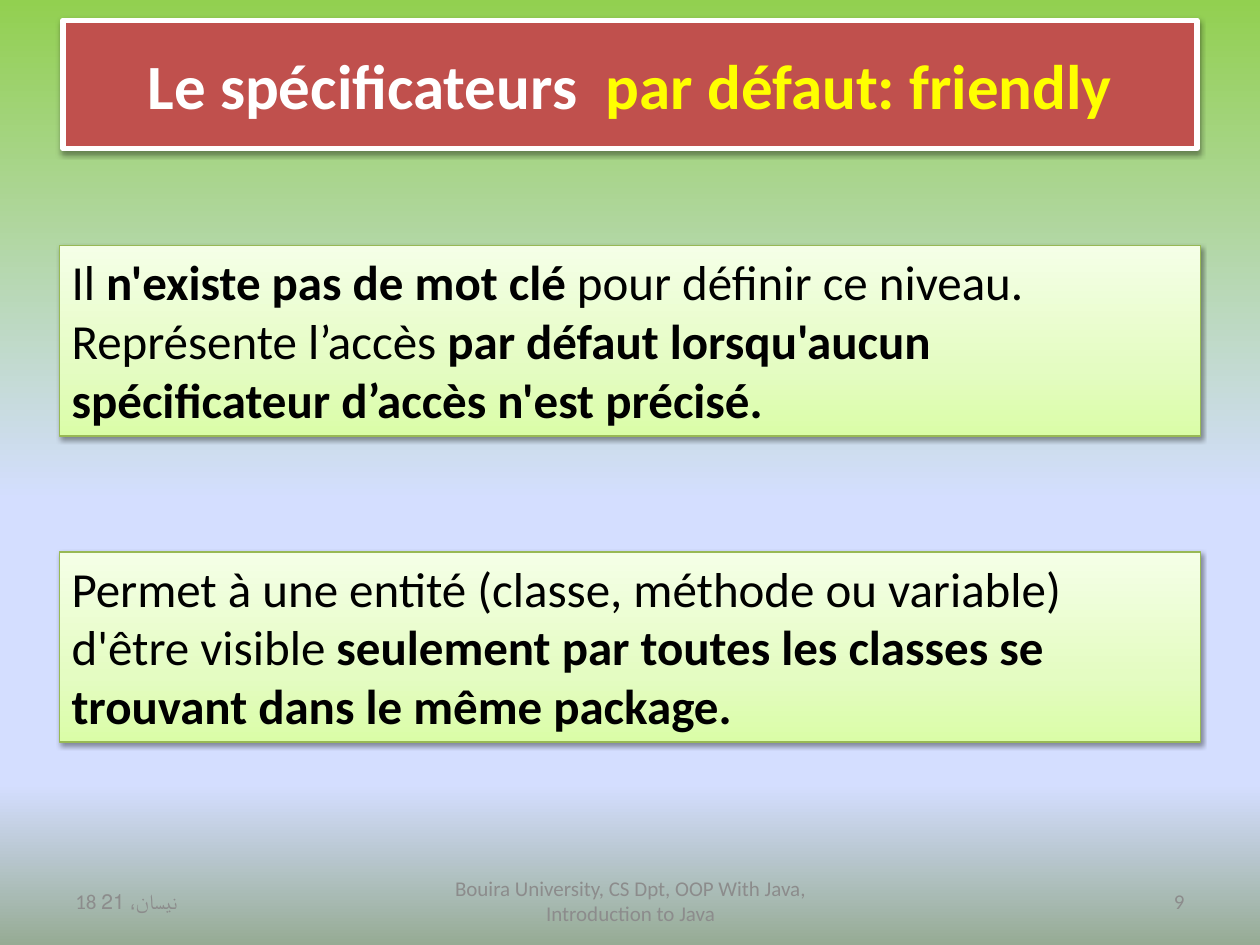
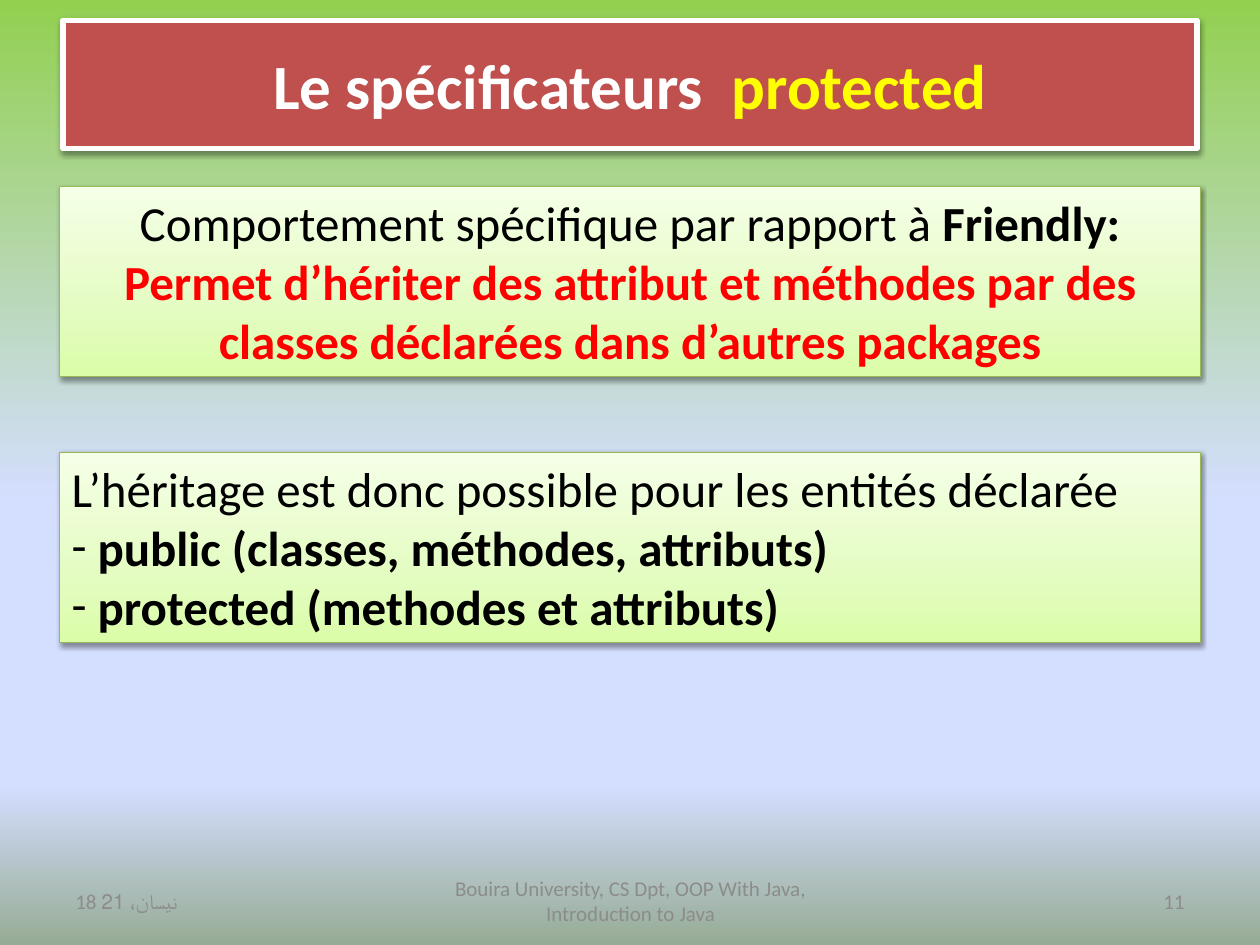
from lxml.etree import SubElement
from pptx import Presentation
from pptx.dml.color import RGBColor
from pptx.enum.shapes import MSO_SHAPE as SHAPE
from pptx.enum.text import MSO_ANCHOR as ANCHOR, MSO_AUTO_SIZE as AUTO, PP_ALIGN as ALIGN
from pptx.oxml.ns import qn
from pptx.util import Pt

PX = 9144
COLORS = {
    "red_band": "C0504D", "white": "FFFFFF", "yellow": "FFFF00", "black": "000000",
    "red": "FF0000", "green_line": "98B955", "gray": "8C8C8C",
}
BACKGROUND = [(0, "92D050"), (53, "D4DEFF"), (83, "D4DEFF"), (100, "96AB94")]
PANEL = [(0, "DAFDA7"), (35, "E4FCC2"), (100, "F5FFE7")]


def rgb(name):
    return RGBColor.from_string(COLORS[name])


class Deck:
    font = "Calibri"
    footer_text = "Bouira University, CS Dpt, OOP With Java, Introduction to Java"
    date_text = "18 نيسان، 21"

    def __init__(self):
        self.prs = Presentation()
        self.prs.slide_width, self.prs.slide_height = 1000 * PX, 750 * PX

    def slide(self, number):
        self.s = self.prs.slides.add_slide(self.prs.slide_layouts[6])
        self.gradient(self.s.background.fill, self.s.element, BACKGROUND, 90)
        self.footer(342, 317, self.footer_text, ALIGN.CENTER)
        self.footer(717, 233, str(number), ALIGN.RIGHT)
        self.footer(50, 233, self.date_text, ALIGN.LEFT)

    def gradient(self, fill, element, stops, angle):
        fill.gradient()
        grad = next(element.iter(qn("a:gradFill")))
        stop_list = grad.find(qn("a:gsLst"))
        for stop in list(stop_list):
            stop_list.remove(stop)
        for pos, color in stops:
            stop = SubElement(stop_list, qn("a:gs"), pos=str(pos * 1000))
            SubElement(stop, qn("a:srgbClr"), val=color)
        grad.find(qn("a:lin")).set("ang", str(angle * 60000))

    def box(self, x, y, w, h, line, width):
        sp = self.s.shapes.add_shape(SHAPE.RECTANGLE, x * PX, y * PX, w * PX, h * PX)
        sp.line.color.rgb = rgb(line)
        sp.line.width = Pt(width)
        sp.shadow.inherit = False
        effects = next(sp.element.iter(qn("a:effectLst")))
        shadow = SubElement(effects, qn("a:outerShdw"), blurRad="40000", dist="20000",
                            dir="5400000", rotWithShape="0")
        color = SubElement(shadow, qn("a:srgbClr"), val=COLORS["black"])
        SubElement(color, qn("a:alpha"), val="38000")
        sp.text_frame.word_wrap = True
        return sp

    def run(self, p, text, size, color="black", bold=False):
        r = p.add_run()
        r.text = text
        r.font.name, r.font.size, r.font.bold = self.font, Pt(size), bold
        r.font.color.rgb = rgb(color)

    def title(self, topic):
        sp = self.box(50, 16, 900, 102, "white", 3)
        sp.fill.solid()
        sp.fill.fore_color.rgb = rgb("red_band")
        sp.text_frame.vertical_anchor = ANCHOR.MIDDLE
        p = sp.text_frame.paragraphs[0]
        p.alignment = ALIGN.CENTER
        self.run(p, "Le spécificateurs  ", 36, "white", True)
        self.run(p, topic, 36, "yellow", True)

    def panel(self, y, paragraphs, align=ALIGN.LEFT, dashes_from=None):
        sp = self.box(47, y, 906, 151, "green_line", 0.75)
        self.gradient(sp.fill, sp.element, PANEL, 270)
        tf = sp.text_frame
        tf.vertical_anchor = ANCHOR.TOP
        tf.auto_size = AUTO.SHAPE_TO_FIT_TEXT
        for i, runs in enumerate(paragraphs):
            p = tf.add_paragraph() if i else tf.paragraphs[0]
            p.alignment = align
            if dashes_from is not None and i >= dashes_from:
                self.dash(p)
            for run in runs:
                self.run(p, run[0], 28, *run[1:])

    def dash(self, p):
        props = p._p.get_or_add_pPr()
        props.set("marL", "0")
        props.set("indent", "0")
        SubElement(props, qn("a:buFont"), typeface=self.font)
        SubElement(props, qn("a:buChar"), char="-")

    def footer(self, x, w, text, align):
        tf = self.s.shapes.add_textbox(x * PX, 695 * PX, w * PX, 40 * PX).text_frame
        tf.word_wrap = True
        tf.vertical_anchor = ANCHOR.MIDDLE
        p = tf.paragraphs[0]
        p.alignment = align
        self.run(p, text, 12, "gray")


def main():
    deck = Deck()

    deck.slide(9)
    deck.title("par défaut: friendly")
    deck.panel(195, [[
        ("Il ",),
        ("n'existe pas de mot clé ", "black", True),
        ("pour définir ce niveau. Représente l’accès ",),
        ("par défaut lorsqu'aucun spécificateur d’accès n'est précisé.", "black", True),
    ]])
    deck.panel(438, [[
        ("Permet à une entité (classe, méthode ou variable) d'être visible ",),
        ("seulement par toutes les classes se trouvant dans le même package.", "black", True),
    ]])

    deck.slide(11)
    deck.title("protected")
    deck.panel(148, [
        [("Comportement spécifique par rapport à ",), ("Friendly:", "black", True)],
        [("Permet d’hériter des attribut et méthodes par des classes déclarées "
          "dans d’autres packages", "red", True)],
    ], ALIGN.CENTER)
    deck.panel(359, [
        [("L’héritage est donc possible pour les entités déclarée",)],
        [(" public (classes, méthodes, attributs)", "black", True)],
        [(" protected (methodes et attributs)", "black", True)],
    ], dashes_from=1)

    deck.prs.save("out.pptx")


if __name__ == "__main__":
    main()
